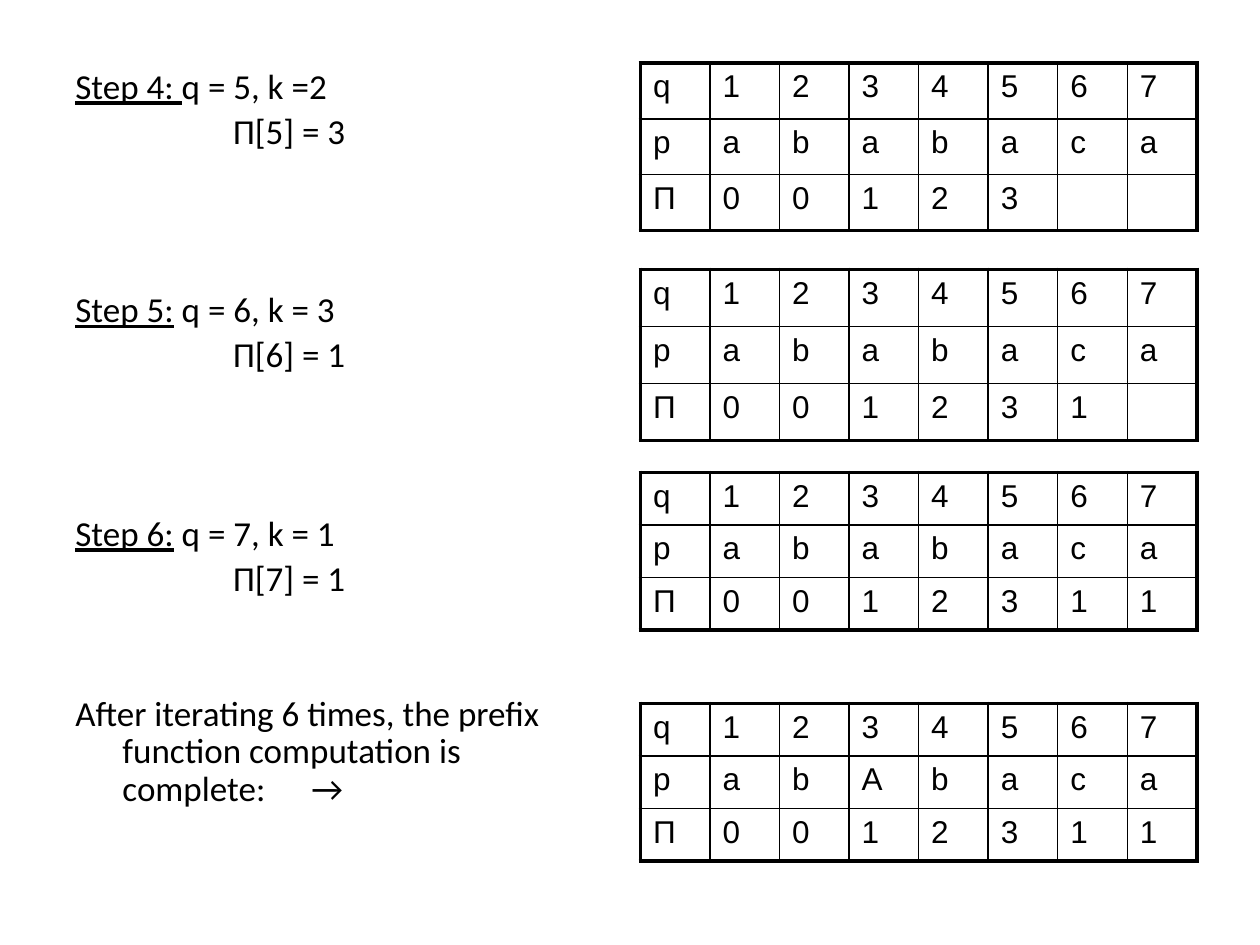
import lxml.etree
import pptx
import pptx.dml.color
import pptx.oxml.ns
import pptx.util

Cm = pptx.util.Cm
Pt = pptx.util.Pt
qn = pptx.oxml.ns.qn
COLORS = {"ink": "000000", "paper": "FFFFFF"}
INK = pptx.dml.color.RGBColor.from_string(COLORS["ink"])


def format_run(run, font_name, size):
    run.font.name = font_name
    run.font.size = Pt(size)
    run.font.color.rgb = INK


def add_border(cell, side, width):
    line = lxml.etree.SubElement(cell._tc.get_or_add_tcPr(), qn(f"a:{side}"), w=str(Pt(width)))
    fill = lxml.etree.SubElement(line, qn("a:solidFill"))
    lxml.etree.SubElement(fill, qn("a:srgbClr"), val=COLORS["ink"])


presentation = pptx.Presentation()
presentation.slide_width = Cm(25.4)
presentation.slide_height = Cm(19.05)
slide = presentation.slides.add_slide(presentation.slide_layouts[6])
slide.background.fill.solid()
slide.background.fill.fore_color.rgb = pptx.dml.color.RGBColor.from_string(COLORS["paper"])

HANGING = (0.95, -0.95)
RESULT = (3.18, 0)
steps = [
    ("Step 4: ", "q = 5, k =2", HANGING, 0),
    ("", "Π[5] = 3", RESULT, 4),
    ("Step 5:", " q = 6, k = 3", HANGING, 80.5),
    ("", "Π[6] = 1", RESULT, 4),
    ("Step 6:", " q = 7, k = 1", HANGING, 80.5),
    ("", "Π[7] = 1", RESULT, 4),
    ("", "After iterating 6 times, the prefix function computation is complete:\t→", HANGING, 55.5),
]
steps_box = slide.shapes.add_textbox(Cm(1.27), Cm(1.27), Cm(11.22), Cm(15.75))
text_frame = steps_box.text_frame
text_frame.word_wrap = True
for index, (heading, body, (margin, indent), space_before) in enumerate(steps):
    paragraph = text_frame.paragraphs[0] if index == 0 else text_frame.add_paragraph()
    paragraph.line_spacing = 0.9
    paragraph.space_before = Pt(space_before)
    properties = paragraph._p.get_or_add_pPr()
    properties.set("marL", str(Cm(margin)))
    properties.set("indent", str(Cm(indent)))
    if "\t" in body:
        tabs = lxml.etree.SubElement(properties, qn("a:tabLst"))
        lxml.etree.SubElement(tabs, qn("a:tab"), pos=str(Cm(7.63)), algn="l")
    for text, underlined in ((heading, True), (body, False)):
        if text:
            run = paragraph.add_run()
            run.text = text
            format_run(run, "Calibri", 20)
            run.font.underline = underlined

prefix_tables = [
    (1.27, 3.38, "abababca"[:0] + "ababaca", "00123"),
    (5.43, 3.45, "ababaca", "001231"),
    (9.52, 3.18, "ababaca", "0012311"),
    (14.18, 3.18, "abAbaca", "0012311"),
]
for top, height, pattern, prefix_values in prefix_tables:
    rows = ["q1234567", "p" + pattern, "Π" + prefix_values]
    frame = slide.shapes.add_table(3, 8, Cm(12.91), Cm(top), Cm(11.22), Cm(height))
    table = frame.table
    table.first_row = False
    table.horz_banding = False
    for row_index, row in enumerate(rows):
        for column_index, text in enumerate(row.ljust(8)):
            cell = table.cell(row_index, column_index)
            cell.text = text.strip()
            for run in cell.text_frame.paragraphs[0].runs:
                format_run(run, "Arial", 18)
            outer_edges = {
                "lnL": column_index == 0,
                "lnR": column_index == 7,
                "lnT": row_index == 0,
                "lnB": row_index == 2,
            }
            for side, is_outer in outer_edges.items():
                add_border(cell, side, 2.25 if is_outer else 1)
            cell.fill.background()

presentation.save("out.pptx")
